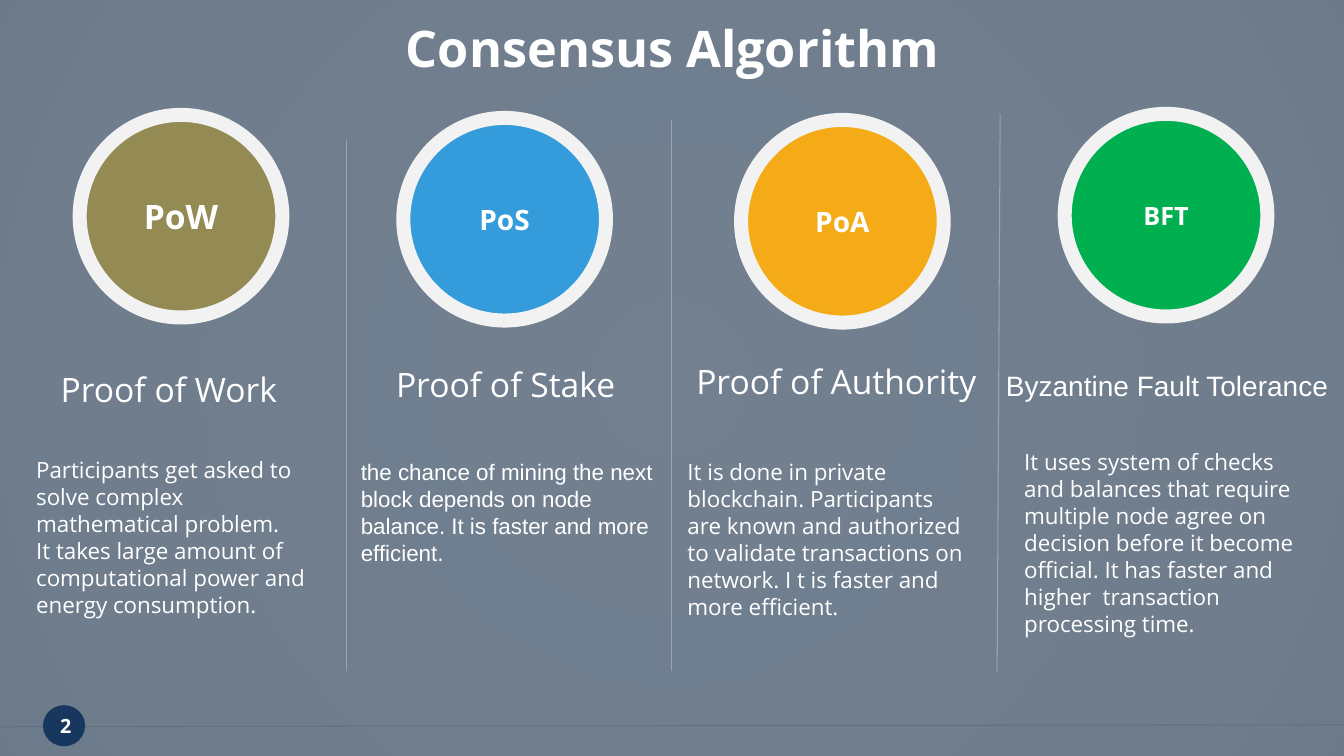
from lxml import etree
from pptx import Presentation
from pptx.dml.color import RGBColor
from pptx.enum.shapes import MSO_CONNECTOR, MSO_SHAPE
from pptx.enum.text import MSO_ANCHOR, MSO_AUTO_SIZE, PP_ALIGN
from pptx.oxml import parse_xml
from pptx.oxml.ns import nsdecls, qn
from pptx.util import Inches, Pt

WHITE = RGBColor(0xFF, 0xFF, 0xFF)
SLATE = RGBColor(0x57, 0x68, 0x7B)
RULE = RGBColor(0x96, 0xA4, 0xB4)
RING = RGBColor(0xF2, 0xF2, 0xF2)
NAVY = RGBColor(0x17, 0x37, 0x5E)
OLIVE = RGBColor(0x94, 0x8A, 0x54)
BLUE = RGBColor(0x35, 0x9C, 0xDB)
ORANGE = RGBColor(0xF4, 0xAB, 0x17)
GREEN = RGBColor(0x00, 0xB0, 0x50)

WIDTH, HEIGHT = 13.33, 7.5
DISC_SIZE = 2.01
SANS, ARIAL = "Open Sans", "Arial"
BACKGROUND_STOPS = [(0, "FFFFFF"), (81, "EEEEEE"), (100, "D9D9D9")]

# Each column: disc (label, size, colour, left, top),
# heading (text, size, font, box), body (text, font, box)
COLUMNS = [
    (("PoW", 24, OLIVE, 0.79, 1.14),
     ("Proof of Work", 24, SANS, (0.18, 3.61, 2.99, 0.5)),
     ("Participants get asked to solve complex mathematical problem.\n"
      "It takes large amount of\n"
      "computational power and energy consumption.",
      SANS, (0.26, 4.48, 2.99, 1.99))),
    (("PoS", 20, BLUE, 4, 1.17),
     ("Proof of Stake", 24, SANS, (3.52, 3.56, 2.99, 0.5)),
     ("the chance of mining the next block depends on node balance. "
      "It is faster and more efficient.",
      ARIAL, (3.48, 4.5, 3.15, 1.18))),
    (("PoA", 20, ORANGE, 7.35, 1.19),
     ("Proof of Authority", 24, SANS, (6.59, 3.53, 3.41, 0.5)),
     ("It is done in private blockchain. Participants are known and "
      "authorized to validate transactions on network. I t is faster and "
      "more efficient.",
      SANS, (6.72, 4.5, 2.99, 1.72))),
    (("BFT", 18, GREEN, 10.56, 1.13),
     ("Byzantine Fault Tolerance", 20, ARIAL, (9.87, 3.6, 3.41, 0.44)),
     ("It uses system of checks and balances that require multiple node "
      "agree on decision before it become official. It has faster and "
      "higher  transaction processing time.",
      SANS, (10.06, 4.4, 2.99, 1.99))),
]
DIVIDERS = [
    ((3.44, 1.39), (3.44, 6.66)),
    ((6.66, 1.19), (6.66, 6.66)),
    ((9.92, 1.13), (9.89, 6.66)),
]


class SlideBuilder:
    def __init__(self, slide):
        self.slide = slide
        self.shapes = slide.shapes

    def set_text(self, shape, text, size, font=SANS, bold=False,
                 align=PP_ALIGN.CENTER, anchor=MSO_ANCHOR.MIDDLE):
        frame = shape.text_frame
        frame.text = text
        frame.word_wrap = True
        frame.vertical_anchor = anchor
        for paragraph in frame.paragraphs:
            paragraph.alignment = align
            for run in paragraph.runs:
                run.font.size = Pt(size)
                run.font.name = font
                run.font.bold = bold
                run.font.color.rgb = WHITE

    def background(self):
        """Fill the background with a gradient that spreads from the centre."""
        self.slide.background.fill.solid()
        stops = "".join(
            f'<a:gs pos="{position * 1000}"><a:srgbClr val="{colour}"/></a:gs>'
            for position, colour in BACKGROUND_STOPS)
        gradient = parse_xml(
            f'<a:gradFill {nsdecls("a")} rotWithShape="1">'
            f'<a:gsLst>{stops}</a:gsLst><a:path path="circle">'
            '<a:fillToRect l="50000" t="50000" r="50000" b="50000"/>'
            '</a:path></a:gradFill>')
        properties = next(self.slide.element.iter(qn("p:bgPr")))
        properties.replace(properties[0], gradient)

    def shape(self, kind, box, colour):
        shape = self.shapes.add_shape(kind, *map(Inches, box))
        shape.shadow.inherit = False
        shape.fill.solid()
        shape.fill.fore_color.rgb = colour
        return shape

    def veil(self):
        """Cover the slide with a translucent slate sheet."""
        veil = self.shape(MSO_SHAPE.RECTANGLE, (0, 0, WIDTH, HEIGHT), SLATE)
        veil.line.fill.background()
        colour = next(veil.element.spPr.iter(qn("a:srgbClr")))
        etree.SubElement(colour, qn("a:alpha"), val="84000")

    def title(self, text, box):
        title = self.shapes.title
        title.left, title.top, title.width, title.height = map(Inches, box)
        self.set_text(title, text, 36, bold=True)
        frame = title.text_frame
        frame.margin_left = frame.margin_right = Inches(0.13)
        frame.margin_top = frame.margin_bottom = Inches(0.07)
        # The placeholder is created first, so lift it above the veil
        title.element.getparent().append(title.element)

    def disc(self, label, size, box, colour, ring, ring_width):
        disc = self.shape(MSO_SHAPE.OVAL, box, colour)
        disc.line.color.rgb = ring
        disc.line.width = Pt(ring_width)
        self.set_text(disc, label, size, bold=True)

    def text(self, text, size, font, box, align, anchor):
        text_box = self.shapes.add_textbox(*map(Inches, box))
        self.set_text(text_box, text, size, font, False, align, anchor)
        text_box.text_frame.auto_size = MSO_AUTO_SIZE.SHAPE_TO_FIT_TEXT

    def line(self, start, end):
        line = self.shapes.add_connector(
            MSO_CONNECTOR.STRAIGHT, *map(Inches, start + end))
        line.line.color.rgb = RULE
        line.line.width = Pt(0.75)
        etree.SubElement(line.element.spPr, qn("a:effectLst"))


def main():
    presentation = Presentation()
    presentation.slide_width = Inches(WIDTH)
    presentation.slide_height = Inches(HEIGHT)
    title_only = presentation.slide_layouts[5]
    builder = SlideBuilder(presentation.slides.add_slide(title_only))

    builder.background()
    builder.line((WIDTH, 7.19), (0.02, 7.21))
    builder.veil()
    builder.title("Consensus Algorithm", (0.67, 0.08, 12, 0.78))

    for disc, heading, body in COLUMNS:
        label, size, colour, left, top = disc
        builder.disc(label, size, (left, top, DISC_SIZE, DISC_SIZE),
                     colour, RING, 10)
        builder.text(*heading, PP_ALIGN.CENTER, MSO_ANCHOR.BOTTOM)
        text, font, box = body
        builder.text(text, 16, font, box, PP_ALIGN.LEFT, MSO_ANCHOR.TOP)

    for start, end in DIVIDERS:
        builder.line(start, end)

    builder.disc("2", 14, (0.44, 7.01, 0.39, 0.38), NAVY, NAVY, 2)
    presentation.save("out.pptx")


if __name__ == "__main__":
    main()
